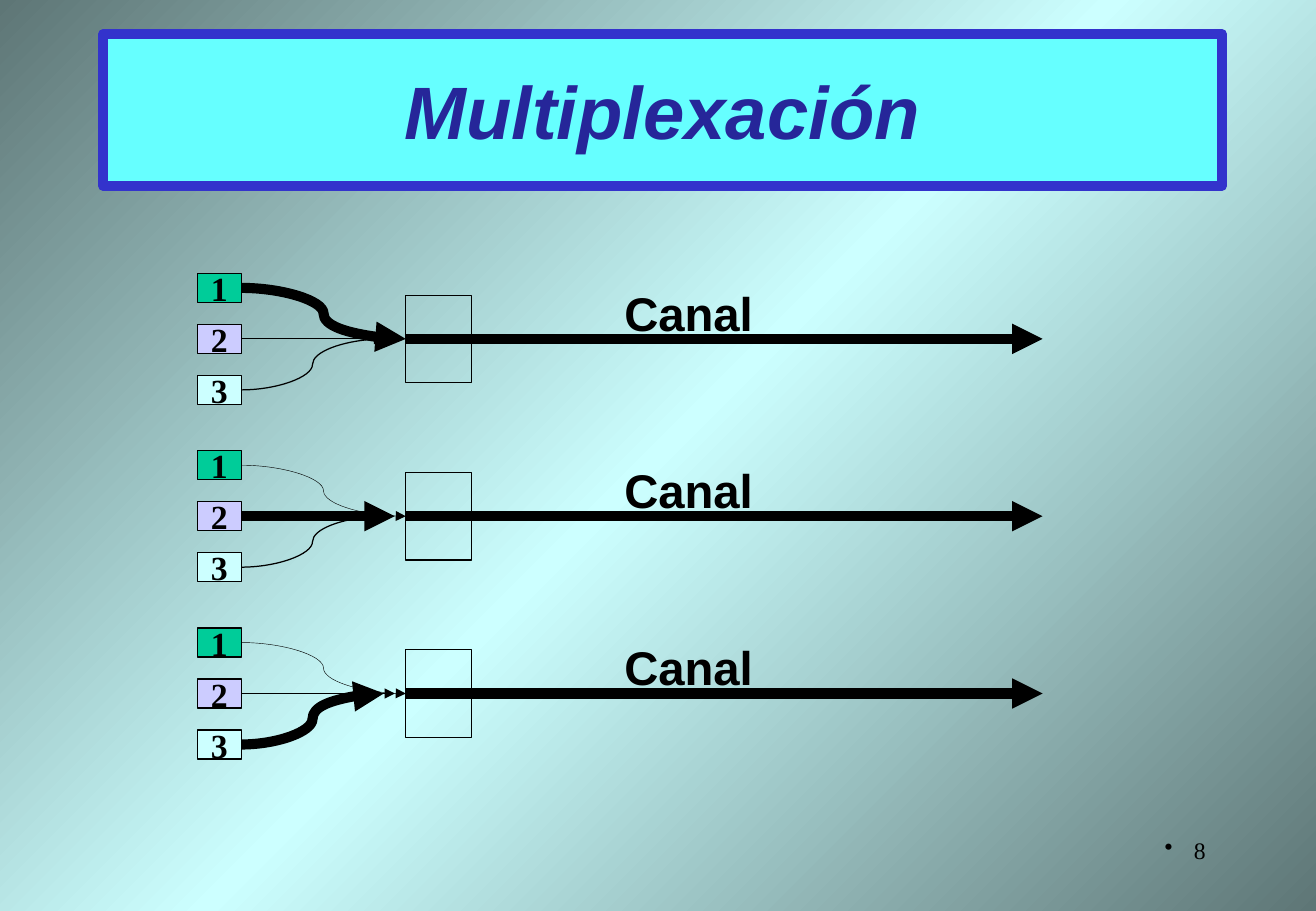
from copy import deepcopy
from pptx import Presentation
from pptx.dml.color import RGBColor
from pptx.enum.shapes import MSO_CONNECTOR as Link, MSO_SHAPE as Form
from pptx.enum.text import MSO_ANCHOR as Anchor, MSO_AUTO_SIZE as Fit, PP_ALIGN as Align
from pptx.oxml.ns import qn
from pptx.oxml.xmlchemy import OxmlElement as Node
from pptx.util import Inches, Pt

WIDTH, HEIGHT = Inches(10.83), Inches(7.5)
COL, ROW = WIDTH / 180, HEIGHT / 125
BLACK, SANS, SERIF = "000000", "Arial", "Times New Roman"
THICK, NORMAL, THIN = 6, 0.75, 0.25
FIRST, BLOCK, LANE = 46.5, 24.33, 7
SOURCE, MUX, END = 27, 55.5, 142.6
FILLS = ["00CC99", "CCCCFF", "CCFFFF"]
TIPS = [MUX, 54, 52.5]
WEIGHTS = [(THICK, NORMAL, NORMAL), (THIN, THICK, NORMAL), (THIN, NORMAL, THICK)]


def area(x, y, w, h):
    return [round(v) for v in (x * COL, y * ROW, w * COL, h * ROW)]


def paint(form, tone):
    form.solid()
    form.fore_color.rgb = RGBColor.from_string(tone)


def edge(line, width, tone=BLACK):
    paint(line.fill, tone)
    line.width = Pt(width)


def write(shape, text, size, font=SANS, tone=BLACK, bold=True, italic=False,
          align=Align.LEFT, anchor=Anchor.TOP, wrap=False):
    frame = shape.text_frame
    frame.word_wrap, frame.vertical_anchor = wrap, anchor
    para = frame.paragraphs[0]
    para.alignment = align
    run = para.add_run()
    run.text = text
    style = run.font
    style.name, style.size, style.bold, style.italic = font, Pt(size), bold, italic
    style.color.rgb = RGBColor.from_string(tone)
    return para


def add_box(group, place, fill=None):
    box = group.shapes.add_shape(Form.RECTANGLE, *area(*place))
    box.shadow.inherit = False
    if fill:
        paint(box.fill, fill)
    else:
        box.fill.background()
    edge(box.line, NORMAL)
    return box


def add_arrow(group, kind, start, end, width):
    ends = area(*start, *end)
    arrow = group.shapes.add_connector(kind, *ends)
    edge(arrow.line, width)
    head = Node("a:tailEnd")
    head.set("type", "triangle")
    arrow.line._ln.append(head)
    arrow._element.spPr.append(Node("a:effectLst"))
    return arrow


def add_block(slide, mid, widths):
    """Draw three sources, their multiplexer and the channel around one middle row."""
    group = slide.shapes.add_group_shape()
    canal = add_arrow(group, Link.STRAIGHT, (MUX, mid), (END, mid), THICK)
    boxes = []
    for i, fill in enumerate(FILLS):
        top = mid + (i - 1) * LANE - 2
        box = add_box(group, (SOURCE, top, 6, 4), fill)
        write(box, str(i + 1), 20, SERIF, align=Align.CENTER, anchor=Anchor.MIDDLE)
        boxes.append(box)
    canal.begin_connect(add_box(group, (MUX, mid - 6, 9, 12)), 1)
    for i, (tip, width) in enumerate(zip(TIPS, widths)):
        kind = Link.STRAIGHT if i == 1 else Link.CURVE
        start = (SOURCE + 6, mid + (i - 1) * LANE)
        arrow = add_arrow(group, kind, start, (tip, mid), width)
        if i == 1:
            arrow.begin_connect(boxes[i], 3)
    label = group.shapes.add_textbox(*area(83.75, mid - 8.33, 22.75, 9.5))
    write(label, "Canal", 28)
    label.text_frame.auto_size = Fit.SHAPE_TO_FIT_TEXT


def add_back(slide):
    fill = slide.background.fill
    fill.gradient()
    fill.gradient_angle = 315
    stops = slide._element.find(".//" + qn("a:gsLst"))
    stops.append(deepcopy(stops[0]))
    tones = ["5E7676", "CCFFFF", "5E7676"]
    for i, (stop, tone) in enumerate(zip(fill.gradient_stops, tones)):
        stop.position = i / 2
        stop.color.rgb = RGBColor.from_string(tone)


def add_title(slide):
    title = slide.shapes.title
    title.left, title.top, title.width, title.height = area(14.13, 4.67, 153, 20.83)
    paint(title.fill, "66FFFF")
    edge(title.line, THICK, "3333CC")
    write(title, "Multiplexación", 44, tone="262699", italic=True,
          align=Align.CENTER, anchor=Anchor.MIDDLE, wrap=True)


def add_page(slide):
    page = slide.shapes.add_textbox(*area(129, 113.83, 37.56, 8.33))
    para = write(page, "8", 14, SERIF, bold=False, align=Align.RIGHT, wrap=True)
    para.space_before = Pt(4)
    props = para._p.get_or_add_pPr()
    props.set("marL", str(Inches(0.24)))
    props.set("indent", str(-Inches(0.24)))
    mark = Node("a:buChar")
    mark.set("char", "•")
    props.append(mark)


def main():
    deck = Presentation()
    deck.slide_width, deck.slide_height = WIDTH, HEIGHT
    slide = deck.slides.add_slide(deck.slide_layouts[5])
    add_back(slide)
    add_page(slide)
    add_title(slide)
    for i, widths in enumerate(WEIGHTS):
        add_block(slide, FIRST + i * BLOCK, widths)
    deck.save("out.pptx")


if __name__ == "__main__":
    main()
